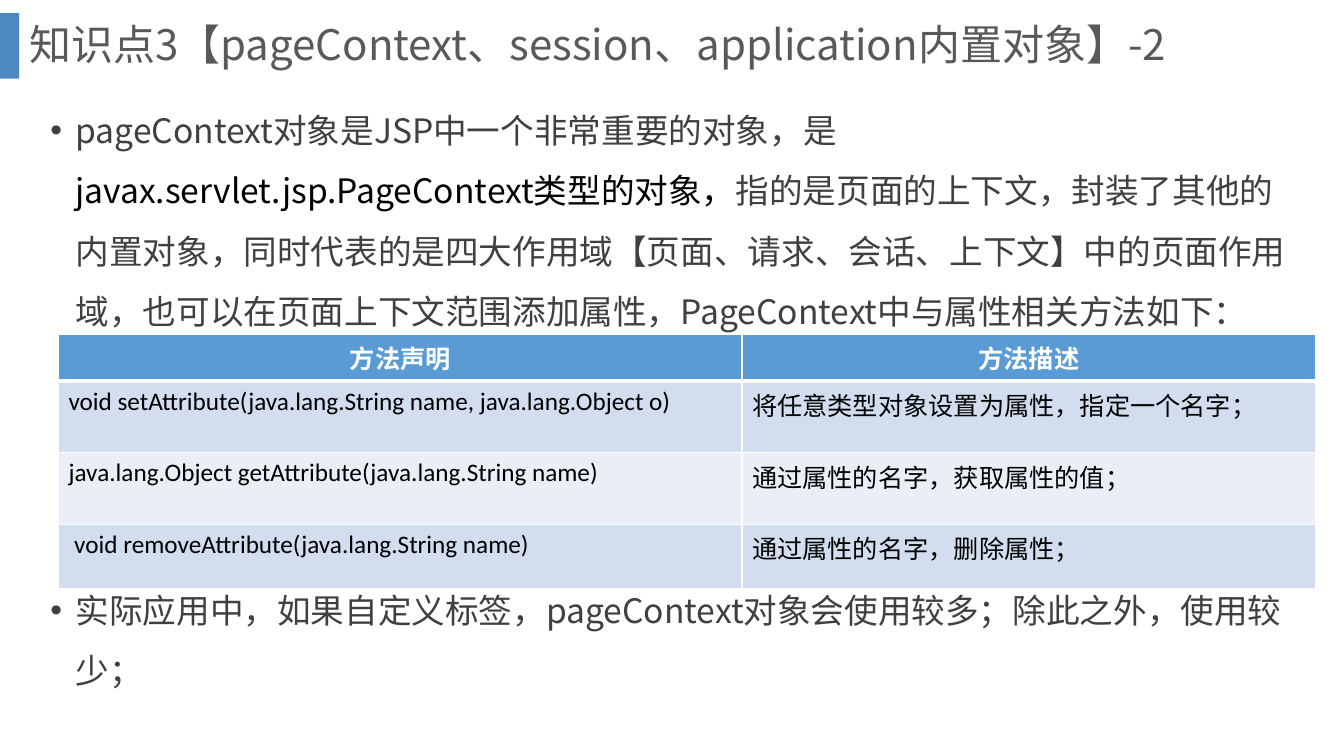
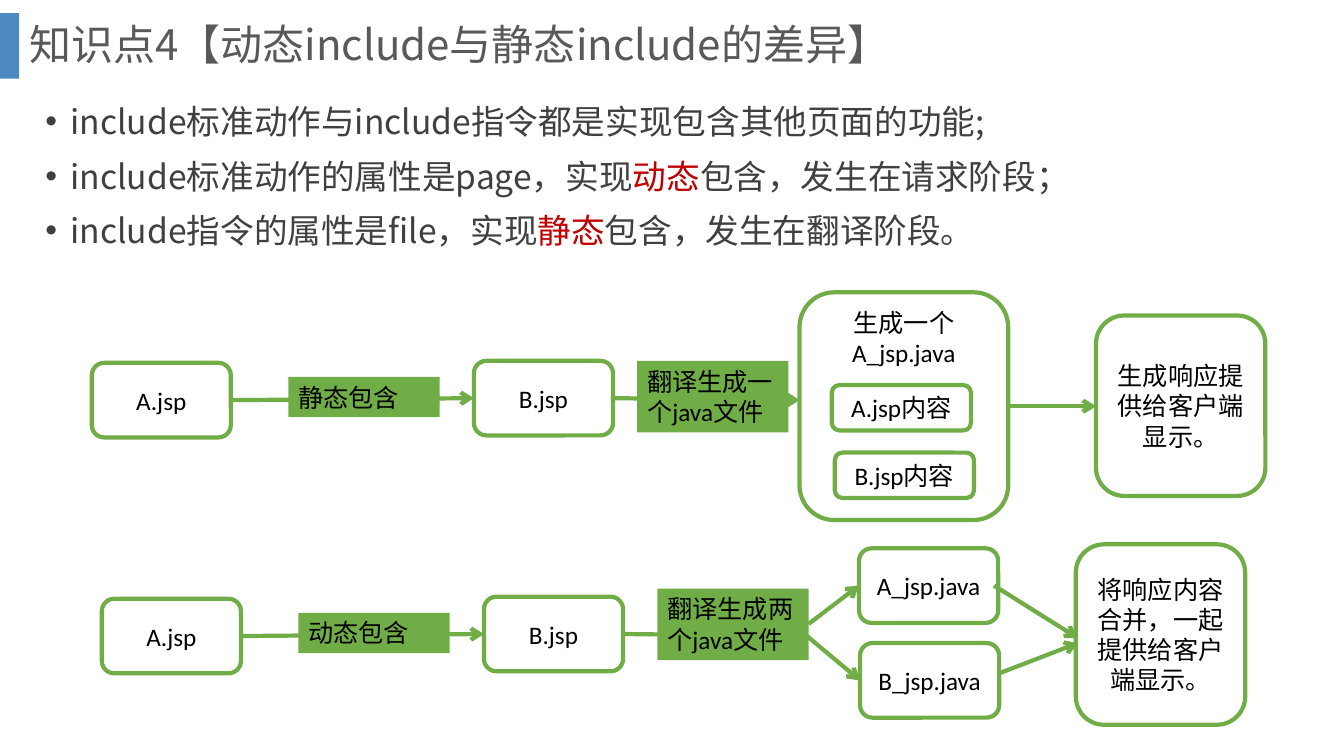
from lxml import etree
from pptx import Presentation
from pptx import util as u
from pptx.dml import color
from pptx.enum import shapes, text
from pptx.oxml import ns

Inches, Pt = u.Inches, u.Pt
CJK_FONT, LATIN_FONT = "Noto Sans CJK SC", "Calibri"
TITLE_GRAY, BODY_GRAY = "595959", "404040"
BLACK, WHITE, RED = "000000", "FFFFFF", "C00000"
BAND_BLUE, HEADER_BLUE, GREEN = "2E75B6", "5B9BD5", "70AD47"
ROW_FILLS = ("D2DEEF", "EAEFF7")


def paint(target, hex_color):
    if hasattr(target, "solid"):
        target.solid()
        target = target.fore_color
    else:
        target = target.color
    target.rgb = color.RGBColor.from_string(hex_color)


def add_element(parent, tag, **attributes):
    return etree.SubElement(parent, ns.qn(tag), attributes)


def place(shape, left, top, width, height):
    shape.left, shape.top = Inches(left), Inches(top)
    shape.width, shape.height = Inches(width), Inches(height)


def add_run(paragraph, words, size, hex_color, font=LATIN_FONT, bold=False):
    run = paragraph.add_run()
    run.text = words
    run.font.name, run.font.size, run.font.bold = font, Pt(size), bold
    paint(run.font, hex_color)
    if font == CJK_FONT:
        add_element(run.font._element, "a:ea", typeface=font)


def add_box(slide, kind, box, fill=None, line=None):
    left, top, width, height = map(Inches, box)
    shape = slide.shapes.add_shape(kind, left, top, width, height)
    shape.shadow.inherit = False
    if fill:
        paint(shape.fill, fill)
    else:
        shape.fill.background()
    if line:
        paint(shape.line, line)
        shape.line.width = Pt(3)
    else:
        shape.line.fill.background()
    return shape


def add_slide(presentation, title_words):
    slide = presentation.slides.add_slide(presentation.slide_layouts[1])
    band = add_box(slide, shapes.MSO_SHAPE.RECTANGLE, (0, 0.13, 0.19, 0.65), BAND_BLUE)
    solid_color = band._element.spPr.find(ns.qn("a:solidFill"))[0]
    add_element(solid_color, "a:alpha", val="85000")
    title = slide.shapes.title
    place(title, 0.19, 0, 12.66, 0.93)
    frame = title.text_frame
    frame.auto_size = text.MSO_AUTO_SIZE.NONE
    frame.vertical_anchor = text.MSO_ANCHOR.MIDDLE
    paragraph = frame.paragraphs[0]
    paragraph.alignment = text.PP_ALIGN.LEFT
    paragraph.line_spacing = 0.9
    add_run(paragraph, title_words, 30, TITLE_GRAY, CJK_FONT)
    return slide


def fill_body(slide, box, items, line_spacing, gaps):
    body = slide.placeholders[1]
    place(body, *box)
    frame = body.text_frame
    frame.auto_size = text.MSO_AUTO_SIZE.NONE
    frame.vertical_anchor = text.MSO_ANCHOR.TOP
    for index, (item, gap) in enumerate(zip(items, gaps)):
        paragraph = frame.add_paragraph() if index else frame.paragraphs[0]
        paragraph.line_spacing = Pt(line_spacing)
        paragraph.space_before = Pt(gap)
        properties = paragraph._p.get_or_add_pPr()
        properties.set("marL", str(Inches(0.25)))
        properties.set("indent", str(-Inches(0.25)))
        add_element(properties, "a:buFont", typeface="Arial")
        add_element(properties, "a:buChar", char="•")
        for words, hex_color in item:
            add_run(paragraph, words, 24, hex_color, CJK_FONT)


def set_borders(cell, bottom_width):
    properties = cell._tc.get_or_add_tcPr()
    widths = {"a:lnL": 1, "a:lnR": 1, "a:lnT": 1, "a:lnB": bottom_width}
    for index, (tag, width) in enumerate(widths.items()):
        border = properties.makeelement(ns.qn(tag), {"w": str(Pt(width))})
        fill = add_element(border, "a:solidFill")
        add_element(fill, "a:srgbClr", val=WHITE)
        properties.insert(index, border)


def add_method_table(slide, left, top, column_widths, row_heights, rows):
    frame = slide.shapes.add_table(
        len(rows), len(column_widths), Inches(left), Inches(top),
        Inches(sum(column_widths)), Inches(sum(row_heights)))
    table = frame.table
    for column, width in zip(table.columns, column_widths):
        column.width = Inches(width)
    for row_index, (row, height) in enumerate(zip(rows, row_heights)):
        table.rows[row_index].height = Inches(height)
        header = row_index == 0
        for column_index, words in enumerate(row):
            cell = table.cell(row_index, column_index)
            paint(cell.fill, HEADER_BLUE if header else ROW_FILLS[(row_index - 1) % 2])
            set_borders(cell, 3 if header else 1)
            paragraph = cell.text_frame.paragraphs[0]
            if header:
                paragraph.alignment = text.PP_ALIGN.CENTER
            add_run(paragraph, words, 18, WHITE if header else BLACK, bold=header)


def add_arrow(slide, start, end):
    points = map(Inches, (*start, *end))
    arrow = slide.shapes.add_connector(shapes.MSO_CONNECTOR.STRAIGHT, *points)
    paint(arrow.line, GREEN)
    arrow.line.width = Pt(3)
    add_element(arrow.line._get_or_add_ln(), "a:tailEnd", type="arrow")
    add_element(arrow._element.spPr, "a:effectLst")


def write_label(shape, words, alignment, anchor):
    frame = shape.text_frame
    frame.word_wrap = True
    frame.vertical_anchor = anchor
    paragraph = frame.paragraphs[0]
    paragraph.alignment = alignment
    add_run(paragraph, words, 18, BLACK)


def add_node(slide, left, top, words, width=1.38, height=0.74,
             anchor=text.MSO_ANCHOR.MIDDLE):
    node = add_box(slide, shapes.MSO_SHAPE.ROUNDED_RECTANGLE,
                   (left, top, width, height), line=GREEN)
    write_label(node, words, text.PP_ALIGN.CENTER, anchor)


def add_tag(slide, left, top, words, height):
    tag = add_box(slide, shapes.MSO_SHAPE.RECTANGLE, (left, top, 1.5, height), GREEN)
    write_label(tag, words, text.PP_ALIGN.LEFT, text.MSO_ANCHOR.TOP)


def add_include_steps(slide, left, top, include_words, translate_words, translate_at):
    add_arrow(slide, (left + 1.38, top + 0.39), (left + 3.79, top + 0.37))
    add_arrow(slide, (left + 5.15, top + 0.37), (left + 7.02, top + 0.39))
    add_node(slide, left, top + 0.02, "A.jsp")
    add_node(slide, left + 3.79, top, "B.jsp")
    add_tag(slide, left + 1.95, top + 0.16, include_words, 0.4)
    add_tag(slide, left + translate_at[0], top + translate_at[1], translate_words, 0.71)


def add_static_flow(slide, left, top):
    add_include_steps(slide, left, top + 0.68, "静态包含", "翻译生成一个java文件", (5.41, 0))
    add_node(slide, left + 7.02, top, "生成一个A_jsp.java", 2.07, 2.26, text.MSO_ANCHOR.TOP)
    add_node(slide, left + 7.34, top + 0.92, "A.jsp内容", height=0.45)
    add_node(slide, left + 7.37, top + 1.59, "B.jsp内容", height=0.45)
    add_arrow(slide, (left + 9.09, top + 1.13), (left + 9.96, top + 1.13))
    add_node(slide, left + 9.96, top + 0.23, "生成响应提供给客户端显示。", 1.68, 1.79)


def add_dynamic_flow(slide, left, top):
    add_include_steps(slide, left, top + 0.52, "动态包含", "翻译生成两个java文件", (5.51, -0.08))
    add_node(slide, left + 7.51, top + 0.04, "A_jsp.java")
    add_node(slide, left + 7.52, top + 0.98, "B_jsp.java")
    for start, end in (
        ((7.01, 0.79), (7.51, 0.41)),
        ((6.97, 0.89), (7.52, 1.35)),
        ((8.85, 0.41), (9.68, 0.93)),
        ((8.9, 1.28), (9.68, 0.98)),
    ):
        add_arrow(slide, (left + start[0], top + start[1]), (left + end[0], top + end[1]))
    add_node(slide, left + 9.66, top, "将响应内容合并，一起提供给客户端显示。", 1.68, 1.79)


def build_page_context_slide(presentation):
    slide = add_slide(presentation, "知识点3【pageContext、session、application内置对象】-2")
    fill_body(slide, (0.4, 0.84, 12.51, 6.28), [
        [("pageContext对象是JSP中一个非常重要的对象，是", BODY_GRAY),
         ("javax.servlet.jsp.PageContext类型的对象，", BLACK),
         ("指的是页面的上下文，封装了其他的内置对象，同时代表的是四大作用域"
          "【页面、请求、会话、上下文】中的页面作用域，也可以在页面上下文范围添加属性，"
          "PageContext中与属性相关方法如下：", BODY_GRAY)],
        [("实际应用中，如果自定义标签，pageContext对象会使用较多；除此之外，使用较少；", BODY_GRAY)],
    ], 43.2, (10, 170))
    add_method_table(slide, 0.58, 3.32, (6.78, 5.69), (0.45, 0.71, 0.71, 0.64), [
        ("方法声明", "方法描述"),
        ("void setAttribute(java.lang.String name, java.lang.Object o)",
         "将任意类型对象设置为属性，指定一个名字；"),
        ("java.lang.Object getAttribute(java.lang.String name)",
         "通过属性的名字，获取属性的值；"),
        (" void removeAttribute(java.lang.String name)", "通过属性的名字，删除属性；"),
    ])


def build_include_slide(presentation):
    slide = add_slide(presentation, "知识点4【动态include与静态include的差异】")
    fill_body(slide, (0.35, 0.95, 12.05, 2.34), [
        [("include标准动作与include指令都是实现包含其他页面的功能;", BODY_GRAY)],
        [("include标准动作的属性是page，实现", BODY_GRAY), ("动态", RED),
         ("包含，发生在请求阶段；", BODY_GRAY)],
        [("include指令的属性是file，实现", BODY_GRAY), ("静态", RED),
         ("包含，发生在翻译阶段。", BODY_GRAY)],
    ], 28.9, (10, 10, 10))
    add_static_flow(slide, 0.91, 2.9)
    add_dynamic_flow(slide, 1.01, 5.4)


def main():
    presentation = Presentation()
    presentation.slide_width, presentation.slide_height = Inches(13.33), Inches(7.5)
    build_page_context_slide(presentation)
    build_include_slide(presentation)
    presentation.save("out.pptx")


if __name__ == "__main__":
    main()
